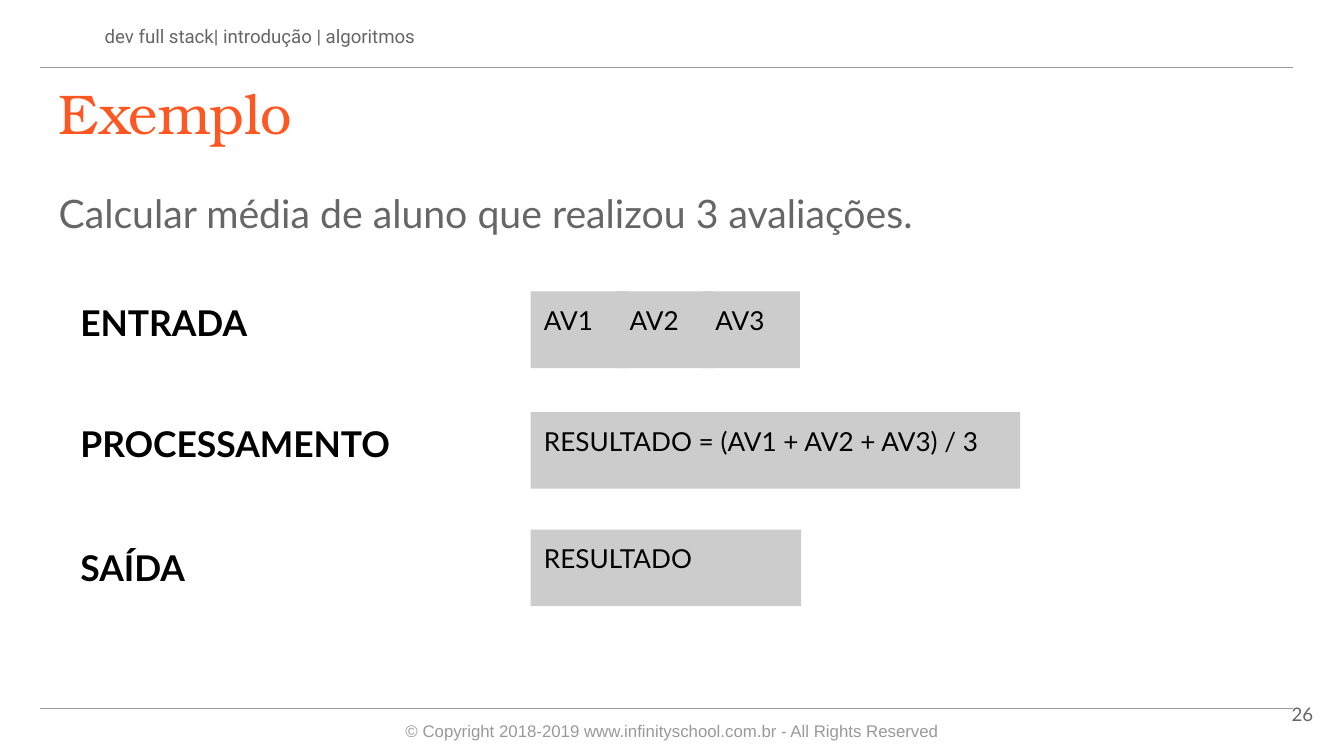
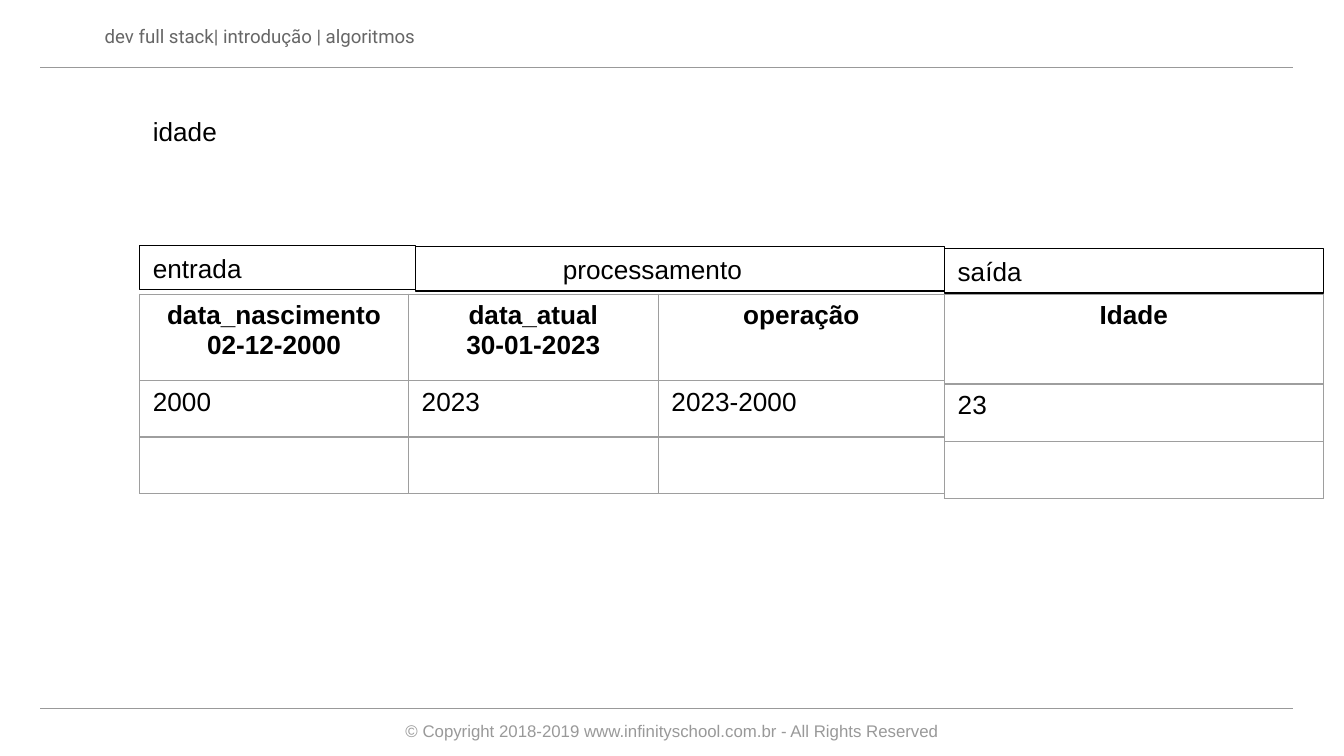
from lxml import etree
from pptx import Presentation
from pptx.dml.color import RGBColor
from pptx.enum.shapes import MSO_CONNECTOR, MSO_SHAPE
from pptx.enum.text import MSO_ANCHOR, PP_ALIGN
from pptx.oxml.ns import qn
from pptx.util import Cm, Pt

ORANGE = RGBColor(0xFF, 0x57, 0x22)
DARK = RGBColor(0x66, 0x66, 0x66)
GRAY = RGBColor(0x99, 0x99, 0x99)
GRID = RGBColor(0x9E, 0x9E, 0x9E)
LIGHT = RGBColor(0xCC, 0xCC, 0xCC)
BLACK = RGBColor(0, 0, 0)
LEFT, MID, RIGHT = PP_ALIGN.LEFT, PP_ALIGN.CENTER, PP_ALIGN.RIGHT
TOP, HALF = MSO_ANCHOR.TOP, MSO_ANCHOR.MIDDLE
RECT, LINE = MSO_SHAPE.RECTANGLE, MSO_CONNECTOR.STRAIGHT

COPY = ("Arial", 9, GRAY, False)
CRUMB = ("Roboto", 10, DARK, False)
TITLE = ("TeX Gyre Bonum", 30, ORANGE, False)
BODY = ("Lato", 21, DARK, False)
LABEL = ("Lato", 19, BLACK, True)
VALUE = ("Lato", 14, BLACK, False)
PAGE = ("Lato", 10, DARK, False)
CELL = ("Arial", 14, BLACK, False)
HEAD = ("Arial", 14, BLACK, True)

EDGE, WIDE = 0.86, 23.67
PAD, SLIM = 0.25, 0.13


def write(frame, text, look, align=LEFT):
    """Put text in a frame and style each paragraph."""
    frame.text = text
    for par in frame.paragraphs:
        par.alignment = align
        font = par.font
        font.name, size, font.color.rgb, font.bold = look
        font.size = Pt(size)


def fit(shape, text, look, align=LEFT, anchor=TOP, pad=PAD):
    """Set the insets, wrap, anchor and text of a shape."""
    frame = shape.text_frame
    frame.word_wrap = True
    frame.vertical_anchor = anchor
    frame.margin_left = frame.margin_right = Cm(PAD)
    frame.margin_top = frame.margin_bottom = Cm(pad)
    write(frame, text, look, align)
    return frame.paragraphs[0]


def add_text(slide, box, text, look, **style):
    """Add a text box and return its first paragraph."""
    shape = slide.shapes.add_textbox(*map(Cm, box))
    return fit(shape, text, look, **style)


def add_rect(slide, box, text, look, fill=None, **style):
    """Add a filled box, or a hairline frame when there is no fill."""
    shape = slide.shapes.add_shape(RECT, *map(Cm, box))
    shape.shadow.inherit = False
    if fill:
        shape.fill.solid()
        shape.fill.fore_color.rgb = fill
        shape.line.fill.background()
    else:
        shape.fill.background()
        shape.line.color.rgb = BLACK
        shape.line.width = Pt(0)
    return fit(shape, text, look, **style)


def add_rule(slide, left, top, width):
    """Draw a thin level line."""
    rule = slide.shapes.add_connector(
        LINE, Cm(left), Cm(top), Cm(left + width), Cm(top))
    rule.line.color.rgb = GRAY
    rule.line.width = Pt(0.75)
    etree.SubElement(rule._element.spPr, qn("a:effectLst"))


def add_frame(slide):
    """Draw the header, footer and rules that all slides share."""
    for top in (1.27, 13.39):
        add_rule(slide, 0.76, top, WIDE)
    add_text(slide, (EDGE, 13.39, WIDE, 0.86),
             "© Copyright 2018-2019 www.infinityschool.com.br"
             " - All Rights Reserved", COPY, align=MID, anchor=HALF)
    add_text(slide, (1.73, 0.25, 22.58, 0.86),
             "dev full stack| introdução | algoritmos", CRUMB, anchor=HALF)


def add_borders(cell):
    """Outline a cell on its four sides."""
    props = cell._tc.get_or_add_tcPr()
    for spot, side in enumerate(("lnL", "lnR", "lnT", "lnB")):
        line = etree.Element(qn(f"a:{side}"), w=str(Pt(0.75)))
        fill = etree.SubElement(line, qn("a:solidFill"))
        etree.SubElement(fill, qn("a:srgbClr"), val=str(GRID))
        props.insert(spot, line)


def add_grid(slide, left, top, cols, rows, data):
    """Add a plain table with a bold, centred first row."""
    size = (left, top, sum(cols), sum(rows))
    table = slide.shapes.add_table(
        len(rows), len(cols), *map(Cm, size)).table
    table.first_row = table.horz_banding = False
    for col, width in zip(table.columns, cols):
        col.width = Cm(width)
    for num, (row, high, texts) in enumerate(zip(table.rows, rows, data)):
        row.height = Cm(high)
        look, align = (CELL, LEFT) if num else (HEAD, MID)
        for cell, text in zip(row.cells, texts):
            cell.margin_left = cell.margin_right = Cm(PAD)
            cell.margin_top = cell.margin_bottom = Cm(SLIM)
            cell.fill.background()
            add_borders(cell)
            write(cell.text_frame, text, look, align)


def add_step(slide, left, top, name, drop, values):
    """Place a step name and its value boxes, given as (offset, width, text)."""
    add_text(slide, (left, top, 11.15, 1.6), name, LABEL)
    for shift, width, text in values:
        add_rect(slide, (left + 8.76 + shift, top + drop, width, 1.45),
                 text, VALUE, fill=LIGHT)


def build_mean(deck):
    """Build the slide on the mean of three marks."""
    slide = deck.slides.add_slide(deck.slide_layouts[5])
    add_frame(slide)
    title = slide.shapes.title
    title.left, title.top, title.width, title.height = map(
        Cm, (EDGE, 1.24, WIDE, 1.6))
    fit(title, "Exemplo", TITLE)
    task = add_text(slide, (EDGE, 3.2, WIDE, 9.5),
                    "Calcular média de aluno que realizou 3 avaliações.", BODY)
    task.line_spacing = 1.15
    task.space_after = Pt(16)
    marks = [(1.62 * num, 1.85, f"AV{num + 1}") for num in range(3)]
    steps = (
        (5.44, "ENTRADA", 0.07, marks),
        (7.72, "PROCESSAMENTO", 0.07,
         [(0, 9.25, "RESULTADO = (AV1 + AV2 + AV3) / 3")]),
        (10.08, "SAÍDA", -0.07, [(0, 5.11, "RESULTADO")]),
    )
    for step in steps:
        add_step(slide, 1.27, *step)
    add_text(slide, (23.55, 12.95, 1.52, 1.09), "26", PAGE,
             align=RIGHT, anchor=HALF)


def build_age(deck):
    """Build the slide that works out an age."""
    slide = deck.slides.add_slide(deck.slide_layouts[6])
    add_frame(slide)
    left, top = 2.64, 5.56
    cols, last = (5.08, 4.72, 5.41), 7.16
    split = left + sum(cols)
    add_grid(slide, left, top, cols, (1.63, 1.07, 1.07), (
        ("data_nascimento\n02-12-2000", "data_atual\n30-01-2023", "operação"),
        ("2000", "2023", "2023-2000"),
        ("", "", "")))
    add_text(slide, (left, 2.06, 6.55, 0.84), "idade", CELL, pad=SLIM)
    add_grid(slide, split, top, (last,), (1.7, 1.09, 1.07),
             (("Idade",), ("23",), ("",)))
    add_rect(slide, (left, 4.64, 5.21, 0.84), "entrada", CELL, pad=SLIM)
    add_rect(slide, (split, 4.7, last, 0.84), "saída", CELL, pad=SLIM)
    work = add_rect(slide, (left + 5.21, 4.66, 10, 0.84),
                    "processamento", CELL, pad=SLIM)
    work._p.get_or_add_pPr().set("marL", str(Cm(2.54)))


def main():
    """Build and save the deck."""
    deck = Presentation()
    deck.slide_width, deck.slide_height = Cm(25.4), Cm(14.29)
    build_mean(deck)
    build_age(deck)
    deck.save("out.pptx")


if __name__ == "__main__":
    main()
